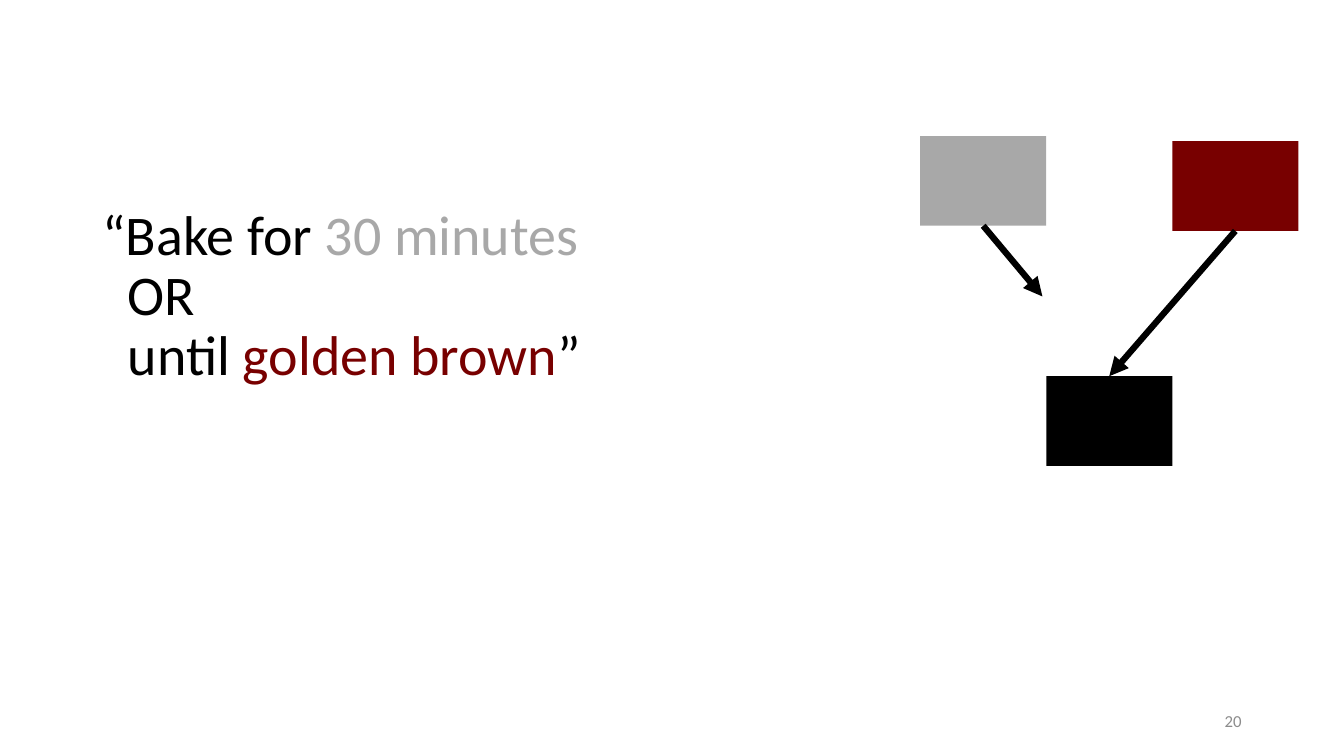
from lxml.etree import SubElement
from pptx import Presentation
from pptx.dml.color import RGBColor
from pptx.enum.shapes import MSO_CONNECTOR as CONN, MSO_SHAPE as SHAPE
from pptx.enum.text import MSO_ANCHOR as ANCHOR, MSO_AUTO_SIZE as AUTO, PP_ALIGN as ALIGN
from pptx.oxml.ns import qn
from pptx.util import Cm, Pt

BLACK, GREY, BROWN, NUMBER_GREY = "000000", "A8A8A8", "780000", "8C8C8C"
BOTTOM, TOP = 2, 0


def rgb(color):
    return RGBColor.from_string(color)


def add_text(p, text, size=40, color=BLACK, font="Calibri"):
    r = p.add_run()
    r.text = text
    r.font.size, r.font.name = Pt(size), font
    r.font.color.rgb = rgb(color)


def add_recipe(slide, left, top, width, height):
    """Fill the body placeholder with the quote, its later lines indented."""
    sp = slide.placeholders[1]
    sp.left, sp.top, sp.width, sp.height = Cm(left), Cm(top), Cm(width), Cm(height)
    tf = sp.text_frame
    tf.word_wrap, tf.auto_size, tf.vertical_anchor = True, AUTO.NONE, ANCHOR.TOP
    p = tf.paragraphs[0]
    p.alignment = ALIGN.LEFT
    p.line_spacing, p.space_before, p.space_after = 0.9, Pt(10), Pt(12)
    pPr = p._p.get_or_add_pPr()
    indent = Cm(0.64)
    pPr.set("marL", str(indent))
    pPr.set("indent", str(-indent))
    SubElement(pPr, qn("a:buNone"))

    add_text(p, "“Bake for ")
    add_text(p, "30 minutes", color=GREY)
    p.add_line_break()
    add_text(p, "OR")
    p.add_line_break()
    add_text(p, "until ")
    add_text(p, "golden brown", color=BROWN)
    add_text(p, "”")


def add_block(slide, left, top, width, height, color):
    sp = slide.shapes.add_shape(SHAPE.RECTANGLE, Cm(left), Cm(top), Cm(width), Cm(height))
    sp.shadow.inherit = False
    sp.fill.solid()
    sp.fill.fore_color.rgb = rgb(color)
    sp.line.fill.background()
    return sp


def add_arrow(slide, source, end_x=0, end_y=0, target=None):
    """Lead from the bottom of source to the top of target, or to a free end."""
    arrow = slide.shapes.add_connector(CONN.STRAIGHT, 0, 0, Cm(end_x), Cm(end_y))
    arrow.begin_connect(source, BOTTOM)
    if target is not None:
        arrow.end_connect(target, TOP)
    arrow.line.color.rgb = rgb(BLACK)
    arrow.line.width = Pt(4.5)
    SubElement(arrow.line._get_or_add_ln(), qn("a:tailEnd"), type="triangle")
    SubElement(arrow._element.spPr, qn("a:effectLst"))


def add_diagram(slide, left, top, width, height):
    """Two conditions side by side, the result below and between them."""
    block_w, block_h = width / 3, 2.26
    minutes = add_block(slide, left, top, block_w, block_h, GREY)
    golden = add_block(slide, left + 2 * block_w, top + 0.13, block_w, block_h, BROWN)
    done = add_block(slide, left + block_w, top + height - block_h, block_w, block_h, BLACK)
    add_arrow(slide, minutes, end_x=left + 3.08, end_y=top + 4.04)
    add_arrow(slide, golden, target=done)


def add_slide_number(slide, left, top, width, height):
    sp = slide.shapes.add_textbox(Cm(left), Cm(top), Cm(width), Cm(height))
    tf = sp.text_frame
    tf.word_wrap, tf.vertical_anchor = True, ANCHOR.MIDDLE
    p = tf.paragraphs[0]
    p.alignment = ALIGN.RIGHT
    add_text(p, "20", size=12, color=NUMBER_GREY)


def main():
    prs = Presentation()
    prs.slide_width, prs.slide_height = Cm(33.87), Cm(19.05)
    slide = prs.slides.add_slide(prs.slide_layouts[1])
    title = slide.shapes.title._element
    title.getparent().remove(title)
    add_recipe(slide, 2.33, 5.08, 29.21, 12.09)
    add_slide_number(slide, 23.92, 17.66, 7.62, 1.01)
    add_diagram(slide, 23.19, 3.43, 9.53, 8.31)
    prs.save("out.pptx")


if __name__ == "__main__":
    main()
